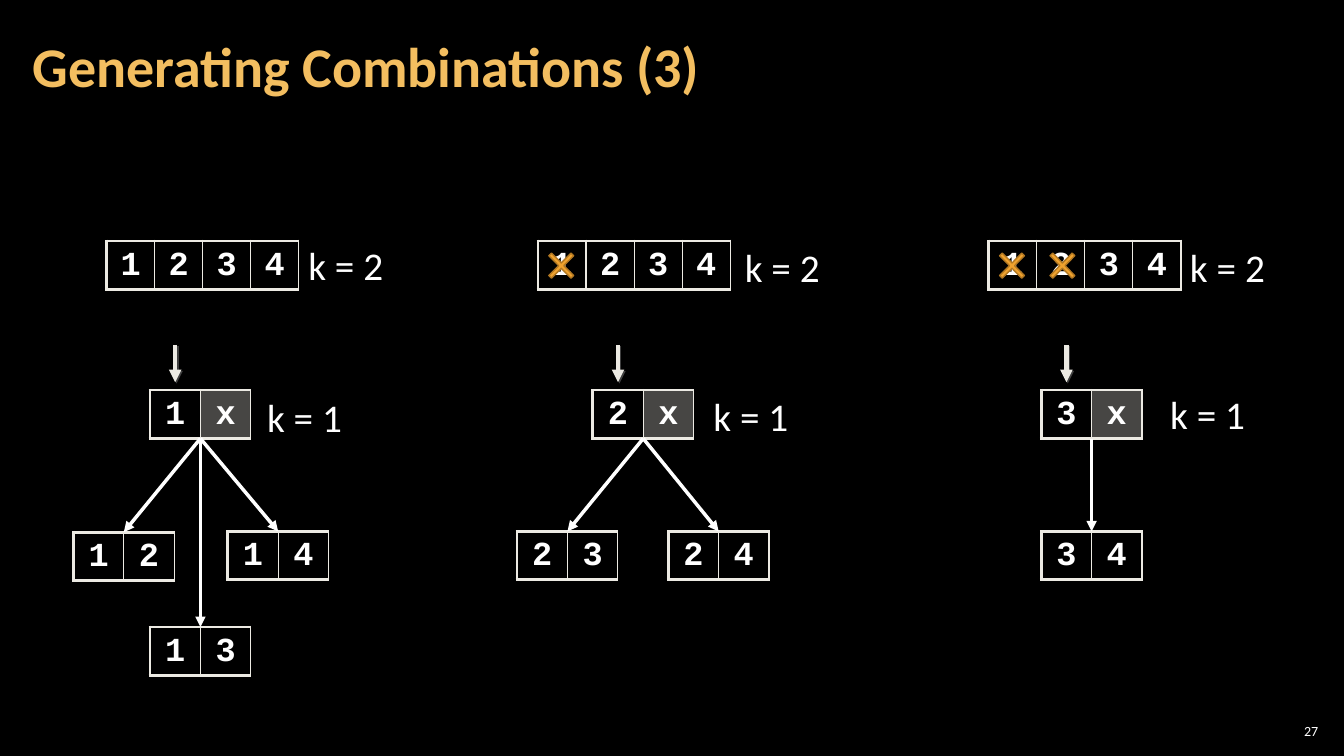
from lxml import etree
from pptx import Presentation
from pptx.dml.color import RGBColor
from pptx.enum.shapes import MSO_CONNECTOR, MSO_SHAPE
from pptx.enum.text import MSO_ANCHOR, PP_ALIGN
from pptx.oxml.ns import qn
from pptx.util import Cm, Pt

STRAIGHT = MSO_CONNECTOR.STRAIGHT
CROSS = MSO_SHAPE.MATH_MULTIPLY
MIDDLE, TOP = MSO_ANCHOR.MIDDLE, MSO_ANCHOR.TOP
LEFT, CENTER, RIGHT = PP_ALIGN.LEFT, PP_ALIGN.CENTER, PP_ALIGN.RIGHT
BLACK = RGBColor(0x00, 0x00, 0x00)
WHITE = RGBColor(0xFF, 0xFF, 0xFF)
CREAM = RGBColor(0xEC, 0xEA, 0xE3)
GOLD = RGBColor(0xF3, 0xBE, 0x60)
ORANGE = RGBColor(0xF0, 0xA2, 0x2E)
BROWN = RGBColor(0xB2, 0x78, 0x22)
SHADE = RGBColor(0x40, 0x40, 0x40)

HALF = 1.27
DIGIT = 1.21
HIGH = 1.22
SET_Y, PICK_Y = 6.07, 9.83

prs = Presentation()
prs.slide_width, prs.slide_height = Cm(33.87), Cm(19.05)
slide = prs.slides.add_slide(prs.slide_layouts[6])
slide.background.fill.solid()
slide.background.fill.fore_color.rgb = BLACK
shapes = slide.shapes


def add_cells(marks, x, y, wide):
    frame = shapes.add_table(1, len(marks), Cm(x), Cm(y), Cm(wide * len(marks)), Cm(HIGH))
    table = frame.table
    table.first_row = table.horz_banding = False
    for i, mark in enumerate(marks):
        table.columns[i].width = Cm(wide)
        cell = table.cell(0, i)
        cell.vertical_anchor = MIDDLE
        cell.margin_left = cell.margin_right = 0
        para = cell.text_frame.paragraphs[0]
        para.text = mark
        para.alignment = CENTER
        para.line_spacing = 0.95
        font = para.runs[0].font
        font.name, font.size, font.bold = "Courier New", Pt(24), True
        font.color.rgb = WHITE
        props = cell._tc.get_or_add_tcPr()
        edges = {"L": 1 if i else 2.25, "R": 1, "T": 2.25, "B": 2.25}
        for side, width in edges.items():
            edge = etree.SubElement(props, qn("a:ln" + side), w=str(Pt(width)))
            paint = etree.SubElement(edge, qn("a:solidFill"))
            etree.SubElement(paint, qn("a:srgbClr"), val=str(CREAM))
        if mark == "x":
            cell.fill.solid()
            cell.fill.fore_color.rgb = CREAM
            color = props.find(qn("a:solidFill")).find(qn("a:srgbClr"))
            etree.SubElement(color, qn("a:alpha"), val="30000")
        else:
            cell.fill.background()


def add_arrow(x1, y1, x2, y2, color, width):
    arrow = shapes.add_connector(STRAIGHT, Cm(x1), Cm(y1), Cm(x2), Cm(y2))
    arrow.line.color.rgb = color
    arrow.line.width = Pt(width)
    props = arrow._element.spPr
    etree.SubElement(props.find(qn("a:ln")), qn("a:tailEnd"), type="triangle")
    return etree.SubElement(props, qn("a:effectLst"))


texts = [
    ("Generating Combinations (3)", 0.53, 0.1, 26.59, 3.07, 40, GOLD, LEFT, MIDDLE, 0.3, 0.1),
    ("27", 32.13, 18.14, 1.19, 0.56, 10, WHITE, RIGHT, MIDDLE, 0.1, 0.1),
]
labels = [
    ("k = 2", 7.52, 5.94), ("k = 2", 18.52, 5.99), ("k = 2", 29.74, 5.99),
    ("k = 1", 6.48, 9.78), ("k = 1", 17.73, 9.75), ("k = 1", 29.24, 9.7),
]
for label in labels:
    texts.append((*label, 2.44, 1.45, 28, WHITE, LEFT, TOP, 0.25, 0.13))

for text, x, y, w, h, size, color, align, anchor, side, edge in texts:
    box = shapes.add_textbox(Cm(x), Cm(y), Cm(w), Cm(h))
    frame = box.text_frame
    frame.text = text
    frame.word_wrap = size != 28
    frame.vertical_anchor = anchor
    frame.margin_left = frame.margin_right = Cm(side)
    frame.margin_top = frame.margin_bottom = Cm(edge)
    para = frame.paragraphs[0]
    para.alignment = align
    font = para.runs[0].font
    font.name, font.size, font.bold = "Calibri", Pt(size), size == 40
    font.color.rgb = color

trees = [
    (2.69, 3.78, 0, "1", [("2", 1.85, 13.41), ("3", 3.78, 15.8), ("4", 5.74, 13.39)]),
    (13.56, 14.94, 1, "2", [("3", 13.03, 13.39), ("4", 16.84, 13.39)]),
    (24.92, 26.24, 2, "3", [("4", 26.24, 13.39)]),
]
for set_x, pick_x, used, first, pairs in trees:
    add_cells("1234", set_x, SET_Y, DIGIT)
    for i in range(used):
        cross = shapes.add_shape(
            CROSS, Cm(set_x + 0.05 + HALF * i), Cm(6.15), Cm(1.07), Cm(1.09))
        cross.adjustments[0] = 0.087
        cross.shadow.inherit = False
        cross.fill.solid()
        cross.fill.fore_color.rgb = ORANGE
        cross.line.color.rgb = BROWN
        cross.line.width = Pt(1)

    add_cells(first + "x", pick_x, PICK_Y, HALF)
    mid = pick_x + HALF / 2
    effect = add_arrow(mid, 8.69, mid, 9.63, CREAM, 3)
    shadow = etree.SubElement(
        effect, qn("a:outerShdw"), dist=str(Pt(1.4)), dir="2700000", algn="ctr", rotWithShape="0")
    etree.SubElement(shadow, qn("a:srgbClr"), val=str(SHADE))

    for second, x, y in pairs:
        add_cells(first + second, x, y, HALF)
        add_arrow(pick_x + HALF, PICK_Y + HIGH, x + HALF, y, WHITE, 2.5)

prs.save("out.pptx")
